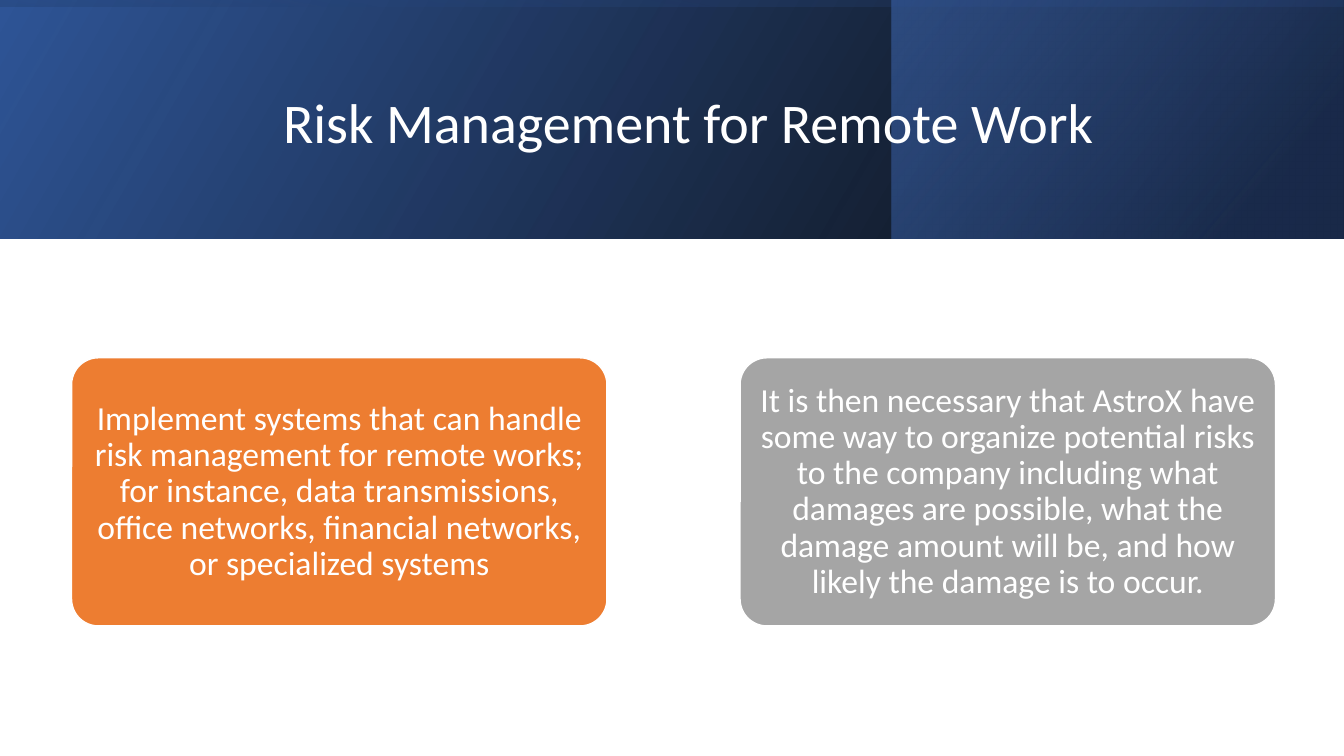
from lxml import etree
from pptx import Presentation
from pptx.dml.color import RGBColor
from pptx.enum.shapes import MSO_SHAPE as SHAPE
from pptx.enum.text import MSO_ANCHOR as ANCHOR, PP_ALIGN as ALIGN
from pptx.oxml.ns import qn
from pptx.util import Inches, Pt

COLORS = {
    "white": "FFFFFF", "black": "000000", "blue": "2F5597", "navy": "203864",
    "sky": "4472C4", "orange": "ED7D31", "gray": "A5A5A5",
}


def rgb(name):
    return RGBColor.from_string(COLORS[name])


def write_text(shape, text, size, color="white", font="Calibri", margins=(0.1, 0.05)):
    frame = shape.text_frame
    frame.word_wrap = True
    frame.vertical_anchor = ANCHOR.MIDDLE
    frame.margin_left = frame.margin_right = Inches(margins[0])
    frame.margin_top = frame.margin_bottom = Inches(margins[1])
    paragraph = frame.paragraphs[0]
    paragraph.alignment = ALIGN.CENTER
    paragraph.line_spacing = 0.9
    run = paragraph.add_run()
    run.text = text
    run.font.size = Pt(size)
    run.font.name = font
    run.font.color.rgb = rgb(color)


prs = Presentation()
prs.slide_width, prs.slide_height = Inches(13.33), Inches(7.5)
slide = prs.slides.add_slide(prs.slide_layouts[5])

title = slide.shapes.title
title.left, title.top = Inches(1.51), Inches(0.38)
title.width, title.height = Inches(10.63), Inches(1.72)
write_text(title, "Risk Management for Remote Work", 40)

# Header bands: place, rotation, counter-clockwise angle, stops (position, color, opacity %)
header_bands = [
    ((0, 0, 13.33, 2.37), 0, 30, [(0, "black", 96), (1, "blue", 100)]),
    ((8.84, 0, 4.48, 2.37), 0, 40, [(0.19, "navy", 68), (1, "sky", 48)]),
    ((5.48, -5.48, 2.37, 13.33), 270, 10, [(0.23, "blue", 16), (0.99, "black", 45)]),
]
header_bands[0][3][1] = (1, "blue", 100)
for place, rotation, angle, stops in header_bands:
    band = slide.shapes.add_shape(SHAPE.RECTANGLE, *map(Inches, place))
    band.shadow.inherit = False
    band.rotation = rotation
    band.line.fill.background()
    band.fill.gradient()
    band.fill.gradient_angle = angle
    for stop, (position, color, _) in zip(band.fill.gradient_stops, stops):
        stop.position = position
        stop.color.rgb = rgb(color)
    properties = band._element.spPr
    properties.find(qn("a:xfrm")).set("flipH", "1")
    for stop_color, (_, _, opacity) in zip(properties.iter(qn("a:srgbClr")), stops):
        etree.SubElement(stop_color, qn("a:alpha")).set("val", str(opacity * 1000))
    title._element.addprevious(band._element)

cards = [
    (0.71, "orange", "Implement systems that can handle risk management for remote works; "
     "for instance, data transmissions, office networks, financial networks, "
     "or specialized systems"),
    (7.34, "gray", "It is then necessary that AstroX have some way to organize potential "
     "risks to the company including what damages are possible, what the damage amount "
     "will be, and how likely the damage is to occur."),
]
for left, color, text in cards:
    card = slide.shapes.add_shape(
        SHAPE.ROUNDED_RECTANGLE, Inches(left), Inches(3.55), Inches(5.31), Inches(2.66))
    card.adjustments[0] = 0.1
    card.shadow.inherit = False
    card.fill.solid()
    card.fill.fore_color.rgb = rgb(color)
    card.line.color.rgb = rgb("white")
    card.line.width = Pt(1)
    write_text(card, text, 24, margins=(0.05, 0.03))

prs.save("out.pptx")
